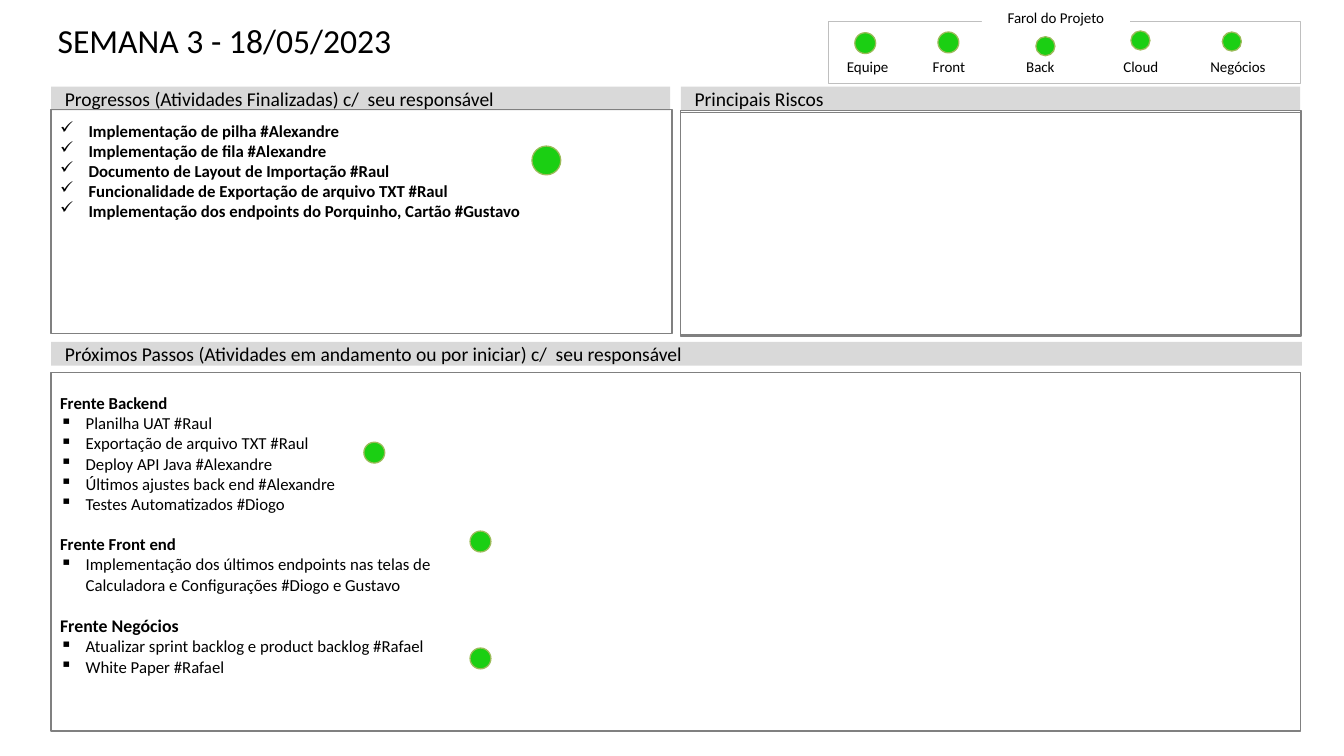
from dataclasses import dataclass

import pptx
import pptx.dml.color
import pptx.enum.shapes
import pptx.enum.text
import pptx.oxml
import pptx.oxml.ns
import pptx.util
from pptx.util import Cm, Pt

SHAPES = pptx.enum.shapes.MSO_SHAPE
ANCHOR = pptx.enum.text.MSO_ANCHOR
ALIGN = pptx.enum.text.PP_ALIGN

BLACK, WHITE, GREEN, OLIVE = "000000", "FFFFFF", "1BCF13", "9BBB59"
BAR_GREY, FRAME_GREY, LEGEND_GREY = "D9D9D9", "808080", "BFBFBF"
BODY_SIZE = 13.2
LINE_HEIGHT = 16.1


@dataclass
class Box:
    left: float
    top: float
    width: float
    height: float


@dataclass
class Light:
    left: float
    top: float
    diameter: float


@dataclass
class Status:
    name: str
    label_left: float
    light: Light


@dataclass
class Line:
    text: str
    size: float = BODY_SIZE
    bold: bool = False
    bullet: str = ""
    indent: float = 0
    space_before: float = 0
    alignment: ALIGN = ALIGN.LEFT


@dataclass
class Front:
    name: str
    tasks: list[str]
    size: float = BODY_SIZE


LEFT, RIGHT_COLUMN = 1.42, 18.92
HEADERS = [
    ("Progressos (Atividades Finalizadas) c/  seu responsável", Box(LEFT, 2.41, 17.2, 0.66)),
    ("Principais Riscos", Box(RIGHT_COLUMN, 2.41, 17.2, 0.66)),
    ("Próximos Passos (Atividades em andamento ou por iniciar) c/  seu responsável",
     Box(LEFT, 9.5, 34.75, 0.66)),
]
RISK_FRAMES = [Box(18.9, top, 17.25, 6.22) for top in (3.07, 3.12)]
PROGRESS_FRAME = Box(LEFT, 3.05, 17.25, 6.22)
STEPS_FRAME = Box(LEFT, 10.36, 34.72, 9.96)
LEGEND_FRAME = Box(23.01, 0.58, 13.13, 1.73)
LEGEND_CAPTION = Box(27.28, 0.15, 4.11, 0.58)

STATUSES = [
    Status("Equipe", 22.86, Light(23.75, 0.91, 0.58)),
    Status("Front", 25.12, Light(26.06, 0.89, 0.58)),
    Status("Back", 27.66, Light(28.78, 1.02, 0.53)),
    Status("Cloud", 30.45, Light(31.42, 0.86, 0.53)),
    Status("Negócios", 33.15, Light(33.96, 0.89, 0.53)),
]
PANEL_LIGHTS = [
    Light(14.78, 4.06, 0.8),
    Light(10.11, 12.29, 0.58),
    Light(13.06, 14.76, 0.58),
    Light(13.06, 18.01, 0.58),
]
PROGRESS = [
    "Implementação de pilha #Alexandre",
    "Implementação de fila #Alexandre",
    "Documento de Layout de Importação #Raul",
    "Funcionalidade de Exportação de arquivo TXT #Raul",
    "Implementação dos endpoints do Porquinho, Cartão #Gustavo",
]
FRONTS = [
    Front("Frente Backend", [
        "Planilha UAT #Raul",
        "Exportação de arquivo TXT #Raul",
        "Deploy API Java #Alexandre",
        "Últimos ajustes back end #Alexandre",
        "Testes Automatizados #Diogo",
    ]),
    Front("Frente Front end", [
        "Implementação dos últimos endpoints nas telas de Calculadora e Configurações "
        "#Diogo e Gustavo",
    ]),
    Front("Frente Negócios", [
        "Atualizar sprint backlog e product backlog #Rafael",
        "White Paper #Rafael",
    ], size=14),
]


def color(value: str) -> pptx.dml.color.RGBColor:
    return pptx.dml.color.RGBColor.from_string(value)


def apply(target, values: dict) -> None:
    for name, value in values.items():
        setattr(target, name, value)


def add_bullet(paragraph, line: Line) -> None:
    properties = paragraph._p.get_or_add_pPr()
    properties.set("marL", str(Cm(line.indent)))
    properties.set("indent", str(-Cm(line.indent)))
    bullet = pptx.oxml.parse_xml(
        f'<a:buChar {pptx.oxml.ns.nsdecls("a")} char="{line.bullet}"/>')
    properties.append(bullet)


def write(shape, lines: list[Line], anchor: ANCHOR, insets: tuple, wrap: bool = True) -> None:
    """Fill the shape with lines; insets are left, top, right and bottom in cm."""
    frame = shape.text_frame
    sides = ("margin_left", "margin_top", "margin_right", "margin_bottom")
    apply(frame, {"word_wrap": wrap, "vertical_anchor": anchor,
                  **{side: Cm(inset) for side, inset in zip(sides, insets)}})
    for index, line in enumerate(lines):
        paragraph = frame.add_paragraph() if index else frame.paragraphs[0]
        apply(paragraph, {"alignment": line.alignment, "space_before": Pt(line.space_before)})
        if line.bullet:
            add_bullet(paragraph, line)
        run = paragraph.add_run()
        run.text = line.text
        apply(run.font, {"name": "Calibri", "size": Pt(line.size), "bold": line.bold})
        run.font.color.rgb = color(BLACK)


def add_box(slide, box: Box, kind: SHAPES = SHAPES.RECTANGLE, fill: str = "",
            line: str = "", line_width: float = 1):
    shape = slide.shapes.add_shape(
        kind, Cm(box.left), Cm(box.top), Cm(box.width), Cm(box.height))
    shape.shadow.inherit = False
    if fill:
        shape.fill.solid()
        shape.fill.fore_color.rgb = color(fill)
    else:
        shape.fill.background()
    if line:
        shape.line.color.rgb = color(line)
        shape.line.width = Pt(line_width)
    else:
        shape.line.fill.background()
    return shape


def add_text_box(slide, box: Box):
    return slide.shapes.add_textbox(
        Cm(box.left), Cm(box.top), Cm(box.width), Cm(box.height))


def add_light(slide, light: Light) -> None:
    box = Box(light.left, light.top, light.diameter, light.diameter)
    add_box(slide, box, SHAPES.OVAL, GREEN, OLIVE)


def write_label(shape, text: str) -> None:
    write(shape, [Line(text, 11.8, alignment=ALIGN.CENTER)], ANCHOR.BOTTOM,
          (0.15, 0.15, 0.15, 0), wrap=False)


def add_legend(slide) -> None:
    add_box(slide, LEGEND_FRAME, line=LEGEND_GREY, line_width=0.5)
    write_label(add_box(slide, LEGEND_CAPTION, fill=WHITE), "Farol do Projeto")
    for status in STATUSES:
        write_label(add_text_box(slide, Box(status.label_left, 1.6, 2.49, 0.51)), status.name)
        add_light(slide, status.light)


def add_panels(slide) -> None:
    for text, box in HEADERS:
        write(add_box(slide, box, fill=BAR_GREY), [Line(text, 15.4)], ANCHOR.MIDDLE,
              (0.38, 0.18, 0.38, 0.18))
    for box in RISK_FRAMES:
        add_box(slide, box, line=FRAME_GREY)

    progress = [Line(text, bold=True, bullet="✓", indent=0.79) for text in PROGRESS]
    write(add_box(slide, PROGRESS_FRAME, line=FRAME_GREY), progress, ANCHOR.TOP,
          (0.25, 0.3, 0.25, 0.13))

    steps = []
    for front in FRONTS:
        gap = LINE_HEIGHT if steps else 0
        steps.append(Line(front.name, front.size, bold=True, space_before=gap))
        steps += [Line(task, bullet="▪", indent=0.71) for task in front.tasks]
    panel = add_box(slide, STEPS_FRAME, line=FRAME_GREY)
    write(panel, steps, ANCHOR.TOP, (0.25, 0.56, 0.25, 0.13))
    panel.text_frame._txBody.bodyPr.set("numCol", "3")


def main() -> None:
    presentation = pptx.Presentation()
    apply(presentation, {"slide_width": Cm(37.34), "slide_height": Cm(21.01)})
    slide = presentation.slides.add_slide(presentation.slide_layouts[6])
    title = add_text_box(slide, Box(1.3, 0.55, 13.31, 2.24))
    write(title, [Line("SEMANA 3 - 18/05/2023", 26.5)], ANCHOR.TOP, (0.3, 0, 0.3, 0))
    add_panels(slide)
    add_legend(slide)
    for light in PANEL_LIGHTS:
        add_light(slide, light)
    presentation.save("out.pptx")


if __name__ == "__main__":
    main()
